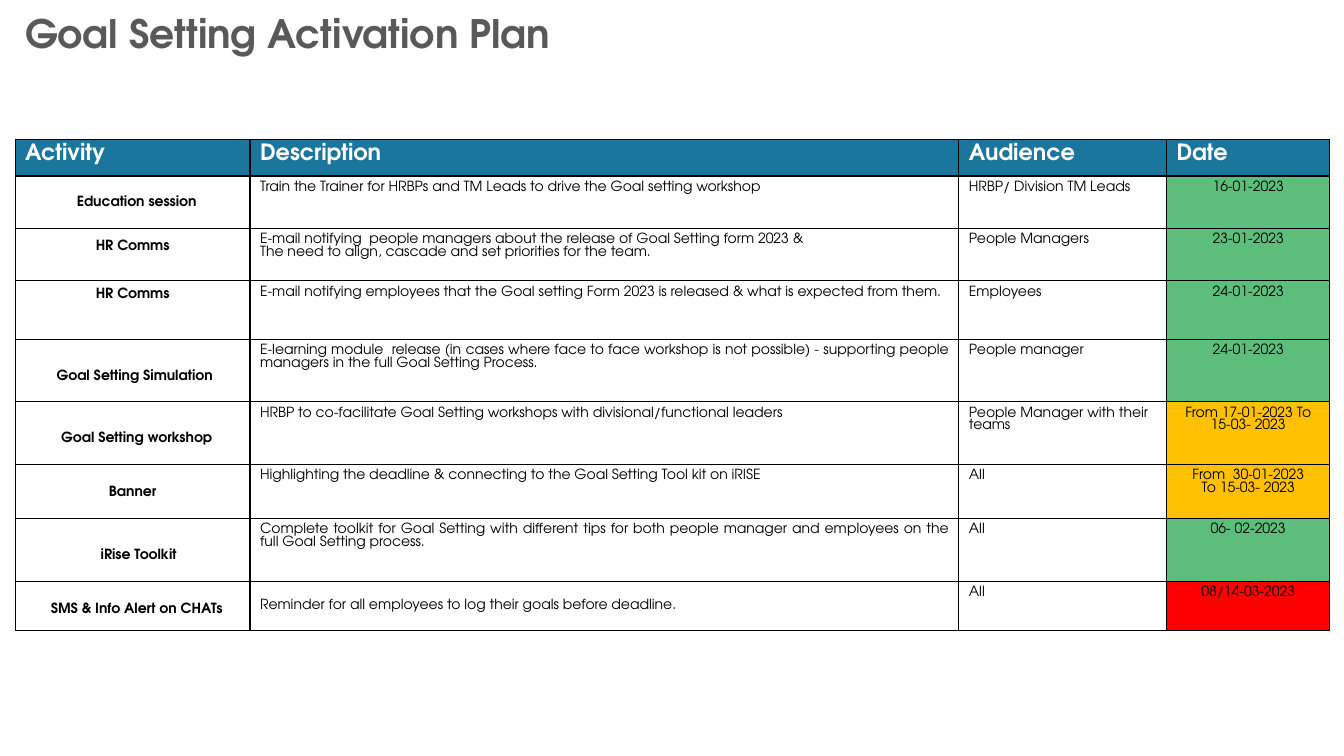
from dataclasses import dataclass

from lxml.etree import SubElement
from pptx import Presentation
from pptx.dml.color import RGBColor
from pptx.enum.text import MSO_ANCHOR as Anchor, PP_ALIGN as Align
from pptx.oxml.ns import qn
from pptx.util import Inches, Pt

FONT = "TeX Gyre Adventor"
COLORS = {
    "title": "595959",
    "header": "1B769D",
    "header_text": "FFFFFF",
    "text": "000000",
    "border": "000000",
    "done": "5CBE7A",
    "ongoing": "FFC000",
    "urgent": "FF0000",
}
COLUMN_WIDTHS = [2.33, 7.03, 2.06, 1.62]
HEADERS = ["Activity", "Description", "Audience", "Date"]
HEADER_HEIGHT = 0.32


@dataclass
class ActivityRow:
    height: float
    activity: str
    description: list
    audience: str
    dates: list
    status: str = "done"
    anchor: Anchor = Anchor.BOTTOM
    left: float = 0.01
    top: float = 0.01
    bottom: float = 0.19
    description_top: float = 0.05


ROWS = [
    ActivityRow(0.52, "Education session",
                ["Train the Trainer for HRBPs and TM Leads to drive the Goal setting workshop"],
                "HRBP/ Division TM Leads", ["16-01-2023"], left=0.09),
    ActivityRow(0.52, "HR Comms",
                ["E-mail notifying  people managers about the release of Goal Setting form 2023 &",
                 "The need to align, cascade and set priorities for the team."],
                "People Managers", ["23-01-2023"], anchor=Anchor.TOP, top=0.05),
    ActivityRow(0.58, "HR Comms",
                ["E-mail notifying employees that the Goal setting Form 2023 is released"
                 " & what is expected from them."],
                "Employees", ["24-01-2023"], anchor=Anchor.TOP),
    ActivityRow(0.62, "Goal Setting Simulation",
                ["E-learning module  release (in cases where face to face workshop is not possible)"
                 " - supporting people managers in the full Goal Setting Process."],
                "People manager", ["24-01-2023"], left=0.05),
    ActivityRow(0.62, "Goal Setting workshop",
                ["HRBP to co-facilitate Goal Setting workshops with divisional/functional leaders"],
                "People Manager with their teams", ["From 17-01-2023 To", "15-03- 2023"],
                status="ongoing", left=0.09),
    ActivityRow(0.54, "Banner",
                ["Highlighting the deadline & connecting to the Goal Setting Tool kit on iRISE"],
                "All", ["From  30-01-2023", "To 15-03- 2023"], status="ongoing"),
    ActivityRow(0.62, "iRise Toolkit",
                ["Complete toolkit for Goal Setting with different tips for both people manager"
                 " and employees on the full Goal Setting process."],
                "All", ["06- 02-2023"], left=0.13),
    ActivityRow(0.49, "SMS & Info Alert on CHATs",
                ["Reminder for all employees to log their goals before deadline."],
                "All", ["08/14-03-2023"], status="urgent",
                anchor=Anchor.MIDDLE, left=0.09, bottom=0, description_top=0.18),
]


def color(name):
    return RGBColor.from_string(COLORS[name])


def write_lines(frame, lines, size, text_color="text", bold=False, align=Align.LEFT, spacing=None):
    for index, line in enumerate(lines):
        paragraph = frame.add_paragraph() if index else frame.paragraphs[0]
        paragraph.alignment = align
        paragraph.line_spacing = spacing
        run = paragraph.add_run()
        run.text = line
        run.font.name = FONT
        run.font.size = Pt(size)
        run.font.bold = bold
        run.font.color.rgb = color(text_color)


def style_cell(cell, fill=None):
    """Draw the four borders, then the fill, which must follow them in the XML."""
    properties = cell._tc.get_or_add_tcPr()
    for side in ("a:lnL", "a:lnR", "a:lnT", "a:lnB"):
        line = SubElement(properties, qn(side), w=str(Pt(1)))
        solid = SubElement(line, qn("a:solidFill"))
        SubElement(solid, qn("a:srgbClr"), val=COLORS["border"])
    if fill:
        cell.fill.solid()
        cell.fill.fore_color.rgb = color(fill)
    else:
        cell.fill.background()


def add_title(slide, text):
    box = slide.shapes.add_textbox(Inches(0.15), Inches(0.1), Inches(11.5), Inches(0.87))
    box.text_frame.word_wrap = True
    write_lines(box.text_frame, [text], 28, "title", bold=True, spacing=0.9)


def fill_activity_row(cells, row):
    activity, description, audience, date = cells
    for cell in (activity, description, audience):
        style_cell(cell)
    style_cell(date, row.status)

    activity.vertical_anchor = row.anchor
    activity.margin_left = Inches(row.left)
    activity.margin_right = Inches(0.01)
    activity.margin_top = Inches(row.top)
    activity.margin_bottom = Inches(row.bottom)
    description.margin_top = Inches(row.description_top)

    write_lines(activity.text_frame, [row.activity], 10, bold=True, align=Align.CENTER, spacing=1.5)
    write_lines(description.text_frame, row.description, 10, align=Align.JUSTIFY)
    write_lines(audience.text_frame, [row.audience], 10)
    write_lines(date.text_frame, row.dates, 10, align=Align.CENTER)


def add_plan_table(slide):
    heights = [HEADER_HEIGHT] + [row.height for row in ROWS]
    table = slide.shapes.add_table(
        len(heights), len(HEADERS), Inches(0.15), Inches(1.38),
        Inches(sum(COLUMN_WIDTHS)), Inches(sum(heights))).table
    table.horz_banding = False
    for column, width in zip(table.columns, COLUMN_WIDTHS):
        column.width = Inches(width)
    for table_row, height in zip(table.rows, heights):
        table_row.height = Inches(height)

    for cell, header in zip(table.rows[0].cells, HEADERS):
        style_cell(cell, "header")
        write_lines(cell.text_frame, [header], 16, "header_text", bold=True)
    for index, row in enumerate(ROWS, start=1):
        fill_activity_row(table.rows[index].cells, row)


def main():
    presentation = Presentation()
    presentation.slide_width = Inches(13.33)
    presentation.slide_height = Inches(7.5)
    slide = presentation.slides.add_slide(presentation.slide_layouts[6])
    add_title(slide, "Goal Setting Activation Plan")
    add_plan_table(slide)
    presentation.save("out.pptx")


if __name__ == "__main__":
    main()
